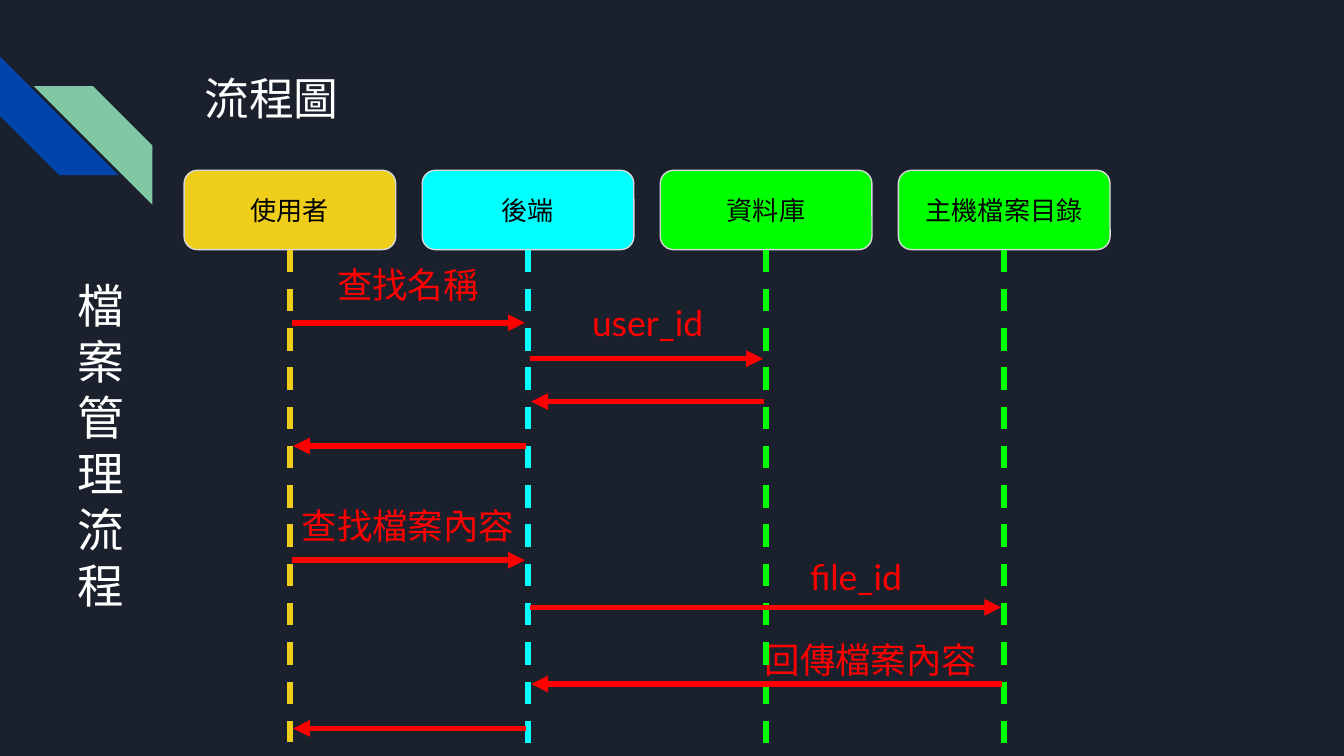
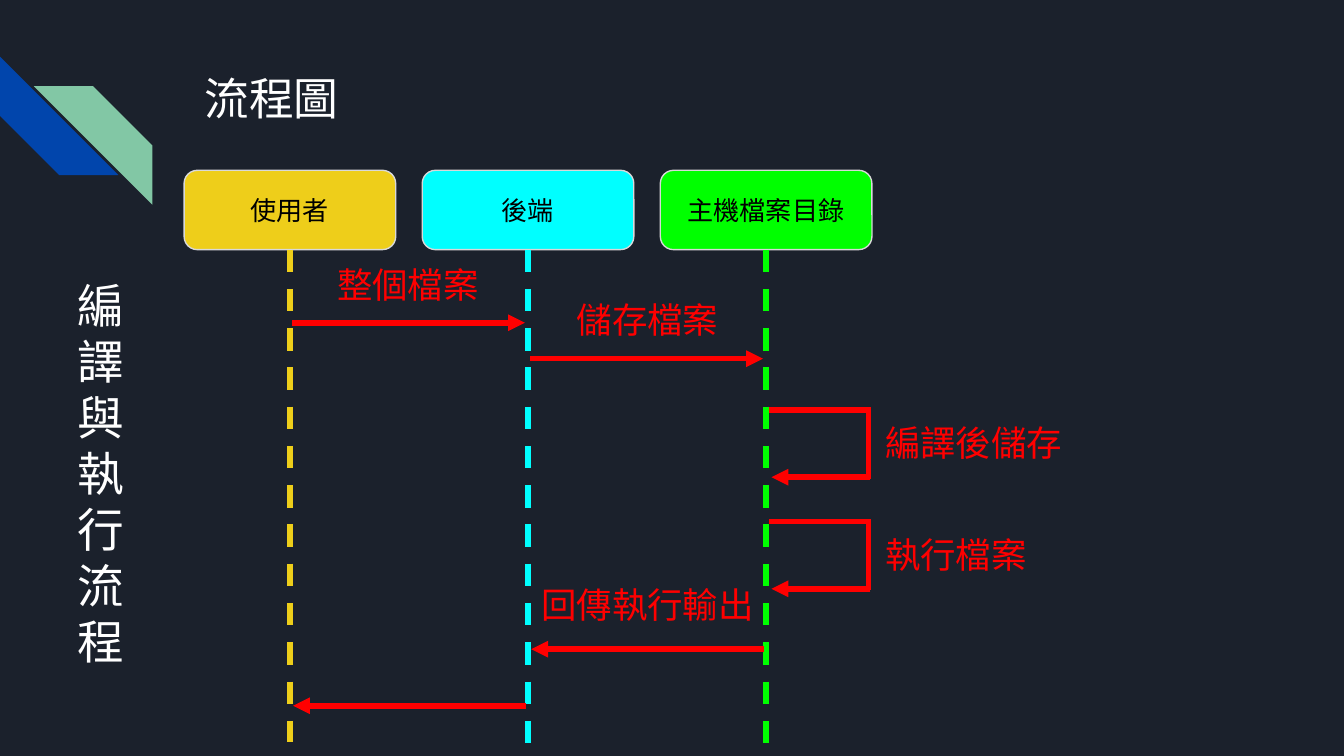
"""Build two sequence-diagram slides for a file service."""
from dataclasses import dataclass

from lxml.etree import SubElement
from pptx import Presentation
from pptx.dml.color import RGBColor
from pptx.enum.dml import MSO_LINE
from pptx.enum.shapes import MSO_CONNECTOR, MSO_SHAPE
from pptx.enum.text import MSO_ANCHOR, MSO_AUTO_SIZE, PP_ALIGN
from pptx.oxml.ns import qn
from pptx.util import Cm, Pt

COLORS = {
    "background": "1B212C", "blue": "0145AC", "mint": "82C7A5",
    "white": "FFFFFF", "black": "000000", "border": "D9D9D9",
    "yellow": "EECE1A", "cyan": "00FFFF", "green": "00FF00", "red": "FF0000",
}
LANE_LEFT, LANE_TOP, LANE_PITCH = 3.48, 3.22, 4.5
LANE_WIDTH, LANE_HEIGHT = 4.0, 1.5
LIFELINE_ENDS = (14.02, 14.66, 14.86, 14.88)
FIRST_GAP, SECOND_GAP = 5.27, 9.8
LOOP_WIDTH, LOOP_HEIGHT = 1.92, 1.27


@dataclass(frozen=True)
class Lane:
    """A participant at the head of a lifeline."""
    name: str
    color: str


@dataclass(frozen=True)
class Message:
    """An arrow from one lane to another."""
    source: int
    target: int
    y: float


@dataclass(frozen=True)
class Note:
    """A red caption beside an arrow."""
    text: str
    left: float
    top: float
    align: PP_ALIGN = PP_ALIGN.CENTER


@dataclass(frozen=True)
class Loop:
    """A call that a lane makes to itself."""
    lane: int
    y: float
    text: str


@dataclass(frozen=True)
class Diagram:
    """Everything that differs between the slides."""
    heading: tuple[str, ...]
    heading_height: float
    lanes: tuple[Lane, ...]
    messages: tuple[Message, ...]
    notes: tuple[Note, ...]
    loops: tuple[Loop, ...] = ()


USER = Lane("使用者", "yellow")
BACKEND = Lane("後端", "cyan")
DATABASE = Lane("資料庫", "green")
HOST_FOLDER = Lane("主機檔案目錄", "green")

DIAGRAMS = (
    Diagram(
        heading=("檔案管理流程",),
        heading_height=4.72,
        lanes=(USER, BACKEND, DATABASE, HOST_FOLDER),
        messages=(
            Message(0, 1, 6.1), Message(1, 2, 6.78),
            Message(2, 1, 7.59), Message(1, 0, 8.43),
            Message(0, 1, 10.59), Message(1, 3, 11.48),
            Message(3, 1, 12.93), Message(1, 0, 13.77),
        ),
        notes=(
            Note("查找名稱", FIRST_GAP, 4.72),
            Note("user_id", SECOND_GAP, 5.44),
            Note("查找檔案內容", FIRST_GAP, 9.27),
            Note("file_id", 13.74, 10.24),
            Note("回傳檔案內容", 14.02, 11.81),
        ),
    ),
    Diagram(
        heading=("編譯", "與", "執行", "流程"),
        heading_height=7.52,
        lanes=(USER, BACKEND, HOST_FOLDER),
        messages=(
            Message(0, 1, 6.1), Message(1, 2, 6.78),
            Message(2, 1, 12.27), Message(1, 0, 13.34),
        ),
        notes=(
            Note("整個檔案", FIRST_GAP, 4.72),
            Note("儲存檔案", SECOND_GAP, 5.38),
            Note("回傳執行輸出", SECOND_GAP, 10.77),
        ),
        loops=(Loop(2, 7.75, "編譯後儲存"), Loop(2, 9.86, "執行檔案")),
    ),
)


def rgb(name: str) -> RGBColor:
    """Return a palette colour."""
    return RGBColor.from_string(COLORS[name])


def lane_center(index: int) -> float:
    """Return the x position of a lifeline in centimetres."""
    return LANE_LEFT + LANE_WIDTH / 2 + index * LANE_PITCH


def write(box, *lines: str, size: float, color: str, font: str = "Lato",
          align: PP_ALIGN = PP_ALIGN.CENTER, anchor: MSO_ANCHOR = MSO_ANCHOR.TOP,
          auto_size: MSO_AUTO_SIZE = MSO_AUTO_SIZE.NONE) -> None:
    """Fill a shape with formatted paragraphs."""
    frame = box.text_frame
    frame.word_wrap = True
    frame.auto_size = auto_size
    frame.vertical_anchor = anchor
    frame.margin_left = frame.margin_right = Cm(0.25)
    frame.margin_top = frame.margin_bottom = Cm(0.25)
    for index, line in enumerate(lines):
        para = frame.add_paragraph() if index else frame.paragraphs[0]
        para.alignment = align
        span = para.add_run()
        span.text = line
        span.font.size = Pt(size)
        span.font.color.rgb = rgb(color)
        span.font.name = font
    for properties in box.element.iter(qn("a:rPr")):
        properties.set("lang", "zh-TW")
        SubElement(properties, qn("a:ea"), typeface=font)


def add_filled(page, kind: MSO_SHAPE, left: float, top: float,
               width: float, height: float, color: str):
    """Add a flat preset shape without an outline."""
    shape = page.shapes.add_shape(kind, Cm(left), Cm(top), Cm(width), Cm(height))
    shape.shadow.inherit = False
    shape.fill.solid()
    shape.fill.fore_color.rgb = rgb(color)
    shape.line.fill.background()
    return shape


def add_line(page, start: tuple[float, float], end: tuple[float, float],
             color: str = "red", dashed: bool = False, arrow: bool = False):
    """Add a straight line, dashed or with an arrowhead if asked."""
    line = page.shapes.add_connector(
        MSO_CONNECTOR.STRAIGHT, *(Cm(value) for value in (*start, *end)))
    line.line.color.rgb = rgb(color)
    line.line.width = Pt(3)
    if dashed:
        line.line.dash_style = MSO_LINE.DASH
    properties = line.element.spPr
    if arrow:
        SubElement(properties.find(qn("a:ln")), qn("a:tailEnd"), type="triangle")
    SubElement(properties, qn("a:effectLst"))
    return line


def decorate_layout(layout, page) -> None:
    """Give the layout its background and corner stripes."""
    layout.background.fill.solid()
    layout.background.fill.fore_color.rgb = rgb("background")
    blue = add_filled(page, MSO_SHAPE.DIAGONAL_STRIPE, 0, 1.07, 2.24, 2.24, "blue")
    blue.rotation = 270
    mint = add_filled(page, MSO_SHAPE.DIAGONAL_STRIPE, 0.64, 1.63, 2.24, 2.24, "mint")
    mint.element.spPr.find(qn("a:xfrm")).set("flipH", "1")
    for stripe in (blue, mint):
        layout.shapes.element.append(stripe.element)


def add_title(page, text: str) -> None:
    """Place and format the slide title."""
    title = page.shapes.title
    title.left, title.top = Cm(3.61), Cm(1.09)
    title.width, title.height = Cm(19.56), Cm(2.54)
    write(title, text, size=24, color="white", font="Montserrat", align=PP_ALIGN.LEFT)


def add_heading(page, diagram: Diagram) -> None:
    """Add the narrow heading that wraps after each character."""
    box = page.shapes.add_textbox(Cm(1.1), Cm(4.98), Cm(1.63), Cm(diagram.heading_height))
    write(box, *diagram.heading, size=25, color="white")


def add_lane(page, index: int, lane: Lane):
    """Add the box at the head of a lane."""
    box = add_filled(page, MSO_SHAPE.ROUNDED_RECTANGLE, LANE_LEFT + index * LANE_PITCH,
                     LANE_TOP, LANE_WIDTH, LANE_HEIGHT, lane.color)
    box.line.color.rgb = rgb("border")
    box.line.width = Pt(0.75)
    write(box, lane.name, size=14, color="black", anchor=MSO_ANCHOR.MIDDLE)
    return box


def add_lifeline(page, index: int, lane: Lane, box) -> None:
    """Hang a dashed lifeline from a lane box."""
    x = lane_center(index)
    line = add_line(page, (x, LANE_TOP + LANE_HEIGHT), (x, LIFELINE_ENDS[index]),
                    lane.color, dashed=True)
    line.begin_connect(box, 2)


def add_message(page, message: Message) -> None:
    """Draw an arrow that stops just short of its target lifeline."""
    direction = 1 if message.target > message.source else -1
    start = lane_center(message.source) + 0.04 * direction
    end = lane_center(message.target) - 0.06 * direction
    add_line(page, (start, message.y), (end, message.y), arrow=True)


def add_note(page, note: Note) -> None:
    """Add a caption."""
    box = page.shapes.add_textbox(Cm(note.left), Cm(note.top), Cm(4.88), Cm(1.32))
    write(box, note.text, size=19, color="red", align=note.align,
          auto_size=MSO_AUTO_SIZE.SHAPE_TO_FIT_TEXT)


def add_loop(page, loop: Loop) -> None:
    """Draw a three-sided arrow back to the same lane, with its caption."""
    left = lane_center(loop.lane) + 0.05
    right = left + LOOP_WIDTH
    bottom = loop.y + LOOP_HEIGHT
    add_line(page, (left, loop.y), (right, loop.y))
    add_line(page, (right - 0.04, bottom + 0.03), (right - 0.04, loop.y - 0.05))
    add_line(page, (right, bottom), (left + 0.05, bottom), arrow=True)
    add_note(page, Note(loop.text, right + 0.03, loop.y - 0.04, PP_ALIGN.LEFT))


def add_diagram(page, diagram: Diagram) -> None:
    """Draw one whole slide."""
    add_title(page, "流程圖")
    add_heading(page, diagram)
    boxes = [add_lane(page, index, lane) for index, lane in enumerate(diagram.lanes)]
    for note in diagram.notes:
        add_note(page, note)
    for index, (lane, box) in enumerate(zip(diagram.lanes, boxes)):
        add_lifeline(page, index, lane, box)
    for message in diagram.messages:
        add_message(page, message)
    for loop in diagram.loops:
        add_loop(page, loop)


def main() -> None:
    """Build and save the deck."""
    deck = Presentation()
    deck.slide_width, deck.slide_height = Cm(25.4), Cm(14.29)
    layout = deck.slide_layouts[5]
    pages = [deck.slides.add_slide(layout) for _ in DIAGRAMS]
    decorate_layout(layout, pages[0])
    for page, diagram in zip(pages, DIAGRAMS):
        add_diagram(page, diagram)
    deck.save("out.pptx")


if __name__ == "__main__":
    main()
